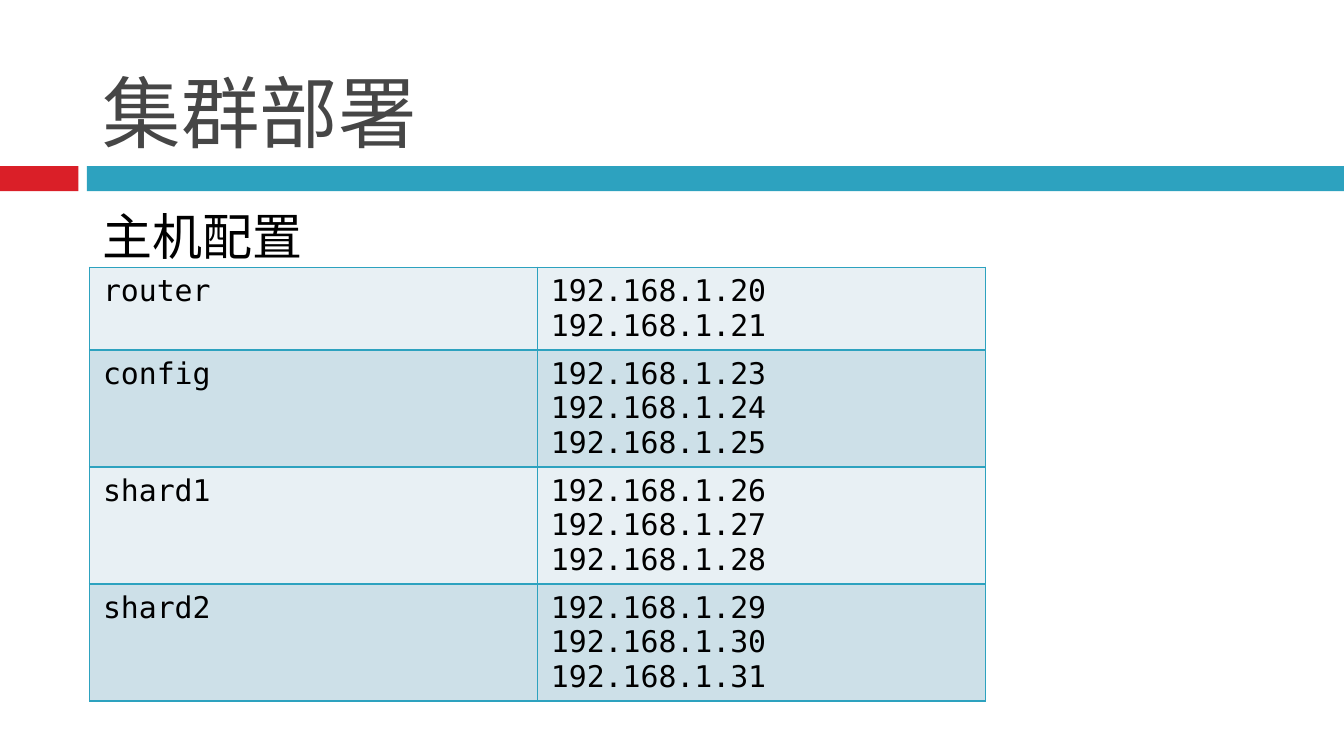
from dataclasses import dataclass

from lxml.etree import SubElement
from pptx import Presentation
from pptx.dml.color import RGBColor
from pptx.enum.shapes import MSO_SHAPE as Preset
from pptx.enum.text import MSO_ANCHOR as Anchor
from pptx.oxml.ns import qn
from pptx.util import Pt

MONO = "DejaVu Sans Mono"
TEAL, RED, BLACK = "2DA2BF", "DA1F28", "000000"
ROW_FILLS = ("E8F0F4", "CDE0E8")
LINE_HEIGHT, CELL_PADDING = 18.5, 7.2


@dataclass(frozen=True)
class Bar:
    left: float
    width: float
    fill: str


@dataclass(frozen=True)
class Label:
    text: str
    top: float
    width: float
    height: float
    size: float
    font: str
    color: str
    anchor: Anchor
    space_before: float = 0


@dataclass(frozen=True)
class Host:
    role: str
    last_octets: range

    @property
    def addresses(self) -> list[str]:
        return [f"192.168.1.{octet}" for octet in self.last_octets]


BARS = (Bar(0, 42, RED), Bar(46.6, 673.4, TEAL))
LABELS = (
    Label("集群部署", 9.2, 642, 79.2, 42, MONO, "464646", Anchor.BOTTOM),
    Label("主机配置", 106.6, 480, 36.7, 26.8, "Calibri", BLACK, Anchor.TOP, 7),
)
HOSTS = (
    Host("router", range(20, 22)),
    Host("config", range(23, 26)),
    Host("shard1", range(26, 29)),
    Host("shard2", range(29, 32)),
)


def rgb(value: str) -> RGBColor:
    return RGBColor.from_string(value)


def add_span(para, text: str, size: float, font: str, color: str) -> None:
    span = para.add_run()
    span.text = text
    span.font.size = Pt(size)
    span.font.name = font
    span.font.color.rgb = rgb(color)


def draw_bar(page, bar: Bar) -> None:
    box = page.shapes.add_shape(Preset.RECTANGLE, Pt(bar.left), Pt(89), Pt(bar.width), Pt(13.5))
    box.shadow.inherit = False
    box.fill.solid()
    box.fill.fore_color.rgb = rgb(bar.fill)
    box.line.fill.background()


def draw_label(page, label: Label) -> None:
    box = page.shapes.add_textbox(Pt(48), Pt(label.top), Pt(label.width), Pt(label.height))
    frame = box.text_frame
    frame.word_wrap = True
    frame.vertical_anchor = label.anchor
    para = frame.paragraphs[0]
    para.space_before = Pt(label.space_before)
    add_span(para, label.text, label.size, label.font, label.color)


def add_border(cell, side: str, color: str, width: float) -> None:
    line = SubElement(cell._tc.get_or_add_tcPr(), qn(f"a:ln{side}"), w=str(Pt(width)))
    fill = SubElement(line, qn("a:solidFill"))
    SubElement(fill, qn("a:srgbClr"), val=color)


def fill_cell(cell, lines: list[str], fill: str) -> None:
    frame = cell.text_frame
    for index, text in enumerate(lines):
        para = frame.add_paragraph() if index else frame.paragraphs[0]
        add_span(para, text, 16, MONO, BLACK)
    for side in "LRTB":
        add_border(cell, side, TEAL, 1)
    cell.fill.solid()
    cell.fill.fore_color.rgb = rgb(fill)


def draw_hosts(page, hosts: tuple[Host, ...]) -> None:
    heights = [LINE_HEIGHT * len(host.addresses) + CELL_PADDING for host in hosts]
    table = page.shapes.add_table(len(hosts), 2, Pt(48), Pt(143.3), Pt(480), Pt(sum(heights))).table
    table.first_row = False
    table.horz_banding = False
    for index, (host, height) in enumerate(zip(hosts, heights)):
        table.rows[index].height = Pt(height)
        for column, lines in enumerate(([host.role], host.addresses)):
            fill_cell(table.cell(index, column), lines, ROW_FILLS[index % 2])


def main() -> None:
    """Build the cluster deployment slide with its host table."""
    deck = Presentation()
    deck.slide_width, deck.slide_height = Pt(720), Pt(405)
    page = deck.slides.add_slide(deck.slide_layouts[6])
    for bar in BARS:
        draw_bar(page, bar)
    draw_hosts(page, HOSTS)
    for label in LABELS:
        draw_label(page, label)
    deck.save("out.pptx")


if __name__ == "__main__":
    main()
